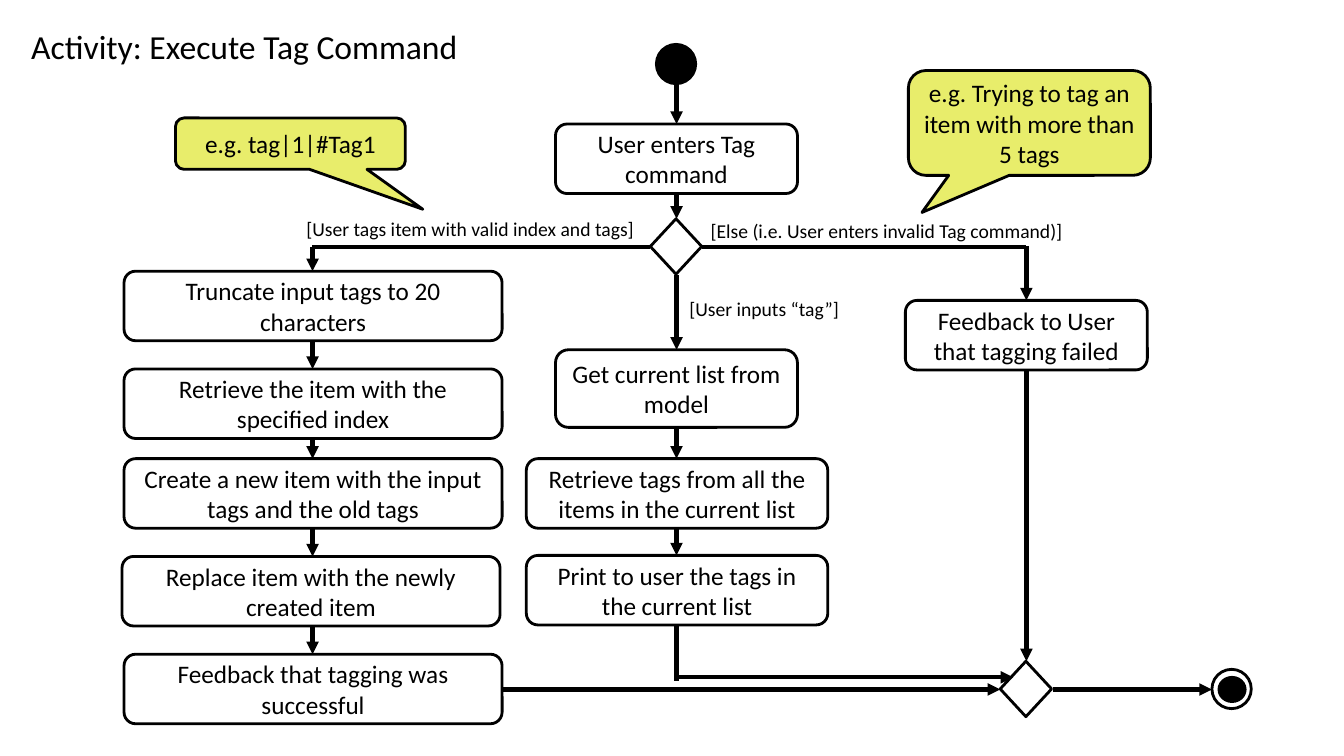
from lxml import etree
from pptx import Presentation
from pptx.dml.color import RGBColor
from pptx.enum.shapes import MSO_CONNECTOR, MSO_SHAPE
from pptx.enum.text import MSO_ANCHOR, MSO_AUTO_SIZE, PP_ALIGN
from pptx.oxml.ns import qn
from pptx.util import Inches, Pt

BLACK, LIME = "000000", "E8ED6B"


def write(shape, text, size, align=PP_ALIGN.CENTER, anchor=MSO_ANCHOR.MIDDLE, spacing=None):
    frame = shape.text_frame
    frame.text = text
    frame.word_wrap = True
    frame.auto_size = MSO_AUTO_SIZE.NONE
    frame.vertical_anchor = anchor
    for paragraph in frame.paragraphs:
        paragraph.alignment = align
        paragraph.line_spacing = spacing
        for span in paragraph.runs:
            span.font.name = "Calibri"
            span.font.size = Pt(size)
            span.font.color.rgb = RGBColor.from_string(BLACK)


def add_node(kind, left, top, width, height, fill=None):
    node = page.shapes.add_shape(kind, Inches(left), Inches(top), Inches(width), Inches(height))
    node.shadow.inherit = False
    if fill:
        node.fill.solid()
        node.fill.fore_color.rgb = RGBColor.from_string(fill)
    else:
        node.fill.background()
    node.line.color.rgb = RGBColor.from_string(BLACK)
    node.line.width = Pt(2)
    return node


deck = Presentation()
deck.slide_width, deck.slide_height = Inches(13.33), Inches(7.5)
page = deck.slides.add_slide(deck.slide_layouts[5])

title = page.shapes.title
title.left, title.top, title.width, title.height = Inches(0.21), Inches(0.21), Inches(6.3), Inches(0.5)
write(title, "Activity: Execute Tag Command", 24, PP_ALIGN.LEFT, MSO_ANCHOR.TOP)

# Start node, decision, merge and end node
add_node(MSO_SHAPE.OVAL, 6.51, 0.44, 0.39, 0.39, BLACK)
for left, top in [(6.45, 2.17), (9.92, 6.56)]:
    add_node(MSO_SHAPE.FLOWCHART_DECISION, left, top, 0.51, 0.55)
add_node(MSO_SHAPE.OVAL, 12.02, 6.64, 0.39, 0.39)
add_node(MSO_SHAPE.OVAL, 12.09, 6.72, 0.26, 0.24, BLACK)

# Actions, column by column
actions = [
    ("User enters Tag\ncommand", 5.51, 1.23, 2.4, 0.69),
    ("Get current list from model", 5.51, 3.47, 2.4, 0.77),
    ("Retrieve tags from all the items in the current list", 5.22, 4.55, 2.99, 0.69),
    ("Print to user the tags in the current list", 5.22, 5.51, 2.99, 0.69),
    ("Feedback to User that tagging failed", 8.98, 2.98, 2.4, 0.69),
    ("Truncate input tags to 20 characters", 1.23, 2.69, 3.75, 0.69),
    ("Retrieve the item with the specified index", 1.23, 3.66, 3.75, 0.69),
    ("Create a new item with the input tags and the old tags", 1.23, 4.55, 3.75, 0.69),
    ("Replace item with the newly created item", 1.21, 5.52, 3.75, 0.69),
    ("Feedback that tagging was successful", 1.23, 6.49, 3.75, 0.69),
]
for text, *place in actions:
    write(add_node(MSO_SHAPE.ROUNDED_RECTANGLE, *place), text, 18)

callouts = [
    ("e.g. tag|1|#Tag1", (1.74, 1.17, 2.28, 0.51), (0.576, 1.277)),
    ("e.g. Trying to tag an item with more than 5 tags", (9.01, 0.7, 2.4, 1.04), (-0.444, 0.854)),
]
for text, place, tip in callouts:
    callout = add_node(MSO_SHAPE.ROUNDED_RECTANGULAR_CALLOUT, *place, LIME)
    callout.adjustments[0], callout.adjustments[1] = tip
    write(callout, text, 18)

guards = [
    ("[User tags item with valid index and tags]", 2.15, 1.99, 5.03),
    ("[Else (i.e. User enters invalid Tag command)]", 6.81, 2.01, 3.97),
    ("[User inputs “tag”]", 6.45, 2.78, 2.26),
]
for text, left, top, width in guards:
    guard = page.shapes.add_textbox(Inches(left), Inches(top), Inches(width), Inches(0.42))
    write(guard, text, 14, anchor=MSO_ANCHOR.TOP, spacing=1.5)

# Flows: start x, start y, end x, end y, arrowhead
LEFT_X, MIDDLE_X, RIGHT_X = 3.1, 6.71, 10.18
flows = [
    (6.45, 2.45, LEFT_X - 0.01, 2.45, False),
    (RIGHT_X, 2.45, 6.96, 2.45, False),
    (MIDDLE_X, 6.2, MIDDLE_X, 6.76, False),
    (MIDDLE_X, 6.72, 10.05, 6.72, True),
    (4.97, 6.84, 9.92, 6.84, True),
    (10.44, 6.84, 12.02, 6.84, True),
]
drops = {
    LEFT_X: [(2.45, 2.69), (3.39, 3.66), (4.35, 4.55), (5.24, 5.52), (6.21, 6.49)],
    MIDDLE_X: [(0.84, 1.23), (1.92, 2.17), (2.73, 3.47), (4.24, 4.55), (5.24, 5.51)],
    RIGHT_X: [(2.44, 2.98), (3.67, 6.56)],
}
for x, spans in drops.items():
    flows += [(x, top, x, bottom, True) for top, bottom in spans]

for *ends, has_head in flows:
    flow = page.shapes.add_connector(MSO_CONNECTOR.STRAIGHT, *[Inches(end) for end in ends])
    flow.line.color.rgb = RGBColor.from_string(BLACK)
    flow.line.width = Pt(3)
    if has_head:
        etree.SubElement(flow.line._get_or_add_ln(), qn("a:tailEnd"), type="triangle")
    etree.SubElement(flow._element.spPr, qn("a:effectLst"))

deck.save("out.pptx")
